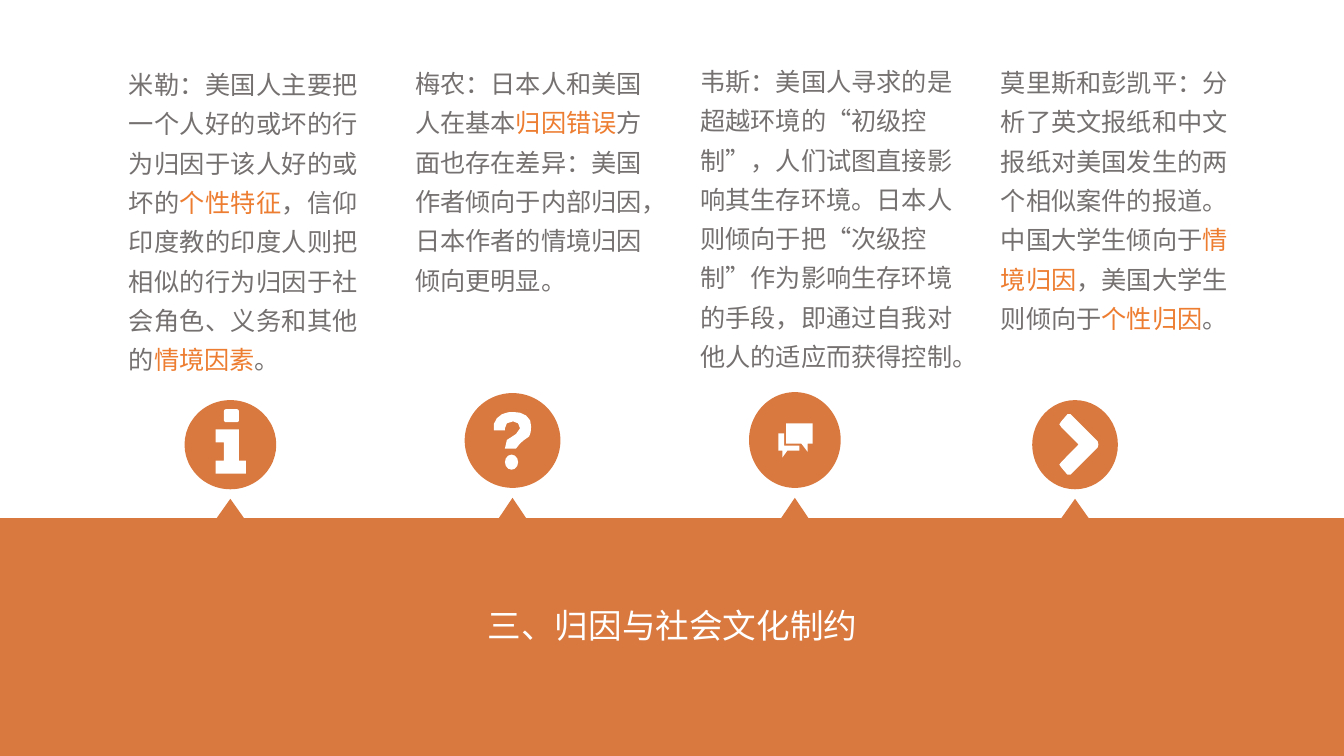
import pptx
import pptx.util
import pptx.dml.color
import pptx.enum.shapes
import pptx.enum.text
import pptx.oxml
import pptx.oxml.ns

Pt = pptx.util.Pt
KIND = pptx.enum.shapes.MSO_SHAPE
ALIGN = pptx.enum.text.PP_ALIGN

WIDE, HIGH = 960, 540
BAND = 370
FONT = "Noto Sans CJK SC"
HUES = {"band": "D9793F", "white": "FFFFFF", "grey": "767171", "key": "ED7D31"}

TEXTS = [
    ((85, 39.6, 177.8, 234), 18, ALIGN.JUSTIFY, [
        ("米勒：美国人主要把一个人好的或坏的行为归因于该人好的或坏的", "grey"),
        ("个性特征", "key"),
        ("，信仰印度教的印度人则把相似的行为归因于社会角色、义务和其他的", "grey"),
        ("情境因素", "key"),
        ("。", "grey")]),
    ((289.4, 38.9, 184.3, 177), 18, None, [
        ("梅农：日本人和美国人在基本", "grey"),
        ("归因错误", "key"),
        ("方面也存在差异：美国作者倾向于内部归因，日本作者的情境归因倾向更明显。", "grey")]),
    ((493.2, 37.4, 196.6, 234), 18, None, [
        ("韦斯：美国人寻求的是超越环境的“初级控制”，人们试图直接影响其生存环境。"
         "日本人则倾向于把“次级控制”作为影响生存环境的手段，"
         "即通过自我对他人的适应而获得控制。", "grey")]),
    ((707.8, 38.2, 183.6, 205), 18, None, [
        ("莫里斯和彭凯平：分析了英文报纸和中文报纸对美国发生的两个相似案件的报道。"
         "中国大学生倾向于", "grey"),
        ("情境归因", "key"),
        ("，美国大学生则倾向于", "grey"),
        ("个性归因", "key"),
        ("。", "grey")]),
    ((135.4, 419.8, 689.8, 44.6), 24, ALIGN.CENTER, [
        ("三、归因与社会文化制约", "white")]),
]

STEM = [(22.3, 20.9), (38.9, 20.9), (38.9, 43.2), (43.9, 43.2), (43.9, 52.6),
        (22.3, 52.6), (22.3, 43.2), (28.1, 43.2), (28.1, 30.2), (22.3, 30.2)]
HOOK = [(20.9, 26.6), (20.9, 22), (23, 18), (26.6, 15.1), (31, 13.7), (34.6, 13.5),
        (39.6, 14), (43.9, 16), (46.8, 19.4), (47.5, 23.8), (47.2, 28), (46.1, 31),
        (42.5, 33.5), (39.6, 36), (36.7, 39.6), (28.8, 39.6), (30.2, 33.5),
        (36.7, 29.2), (39.6, 25.2), (38.2, 21.6), (34.6, 20.2), (30.2, 21.6),
        (28.8, 25.2), (28.8, 26.6)]
BACK = [(20.9, 29.5), (25.2, 29.5), (25.2, 38.2), (36, 38.2), (36, 41.8),
        (27.4, 41.8), (23.8, 46.8), (23.8, 41.8), (20.9, 41.8)]
FRONT = [(26.6, 22.3), (45.4, 22.3), (45.4, 36.7), (41.8, 36.7), (41.8, 42.5),
         (37.4, 36.7), (26.6, 36.7)]
ARROW = [(25.2, 10.1), (27.4, 10.1), (46.8, 29.5), (47.3, 31.7), (46.8, 33.8),
         (27.4, 53.3), (25.2, 53.3), (20.9, 48.2), (19.4, 46.1), (20.9, 44.2),
         (33.1, 31.7), (20.9, 19.4), (19.4, 17.3), (20.9, 15.1)]

ICONS = [
    ((131.8, 285.8, 65.5, 63.7), 13.7, [STEM],
     [(KIND.ROUNDED_RECTANGLE, 28.1, 6.5, 10.8, 9.3)]),
    ((331.9, 280.8, 68.4, 67.7), 14.4, [HOOK],
     [(KIND.OVAL, 28.8, 43.9, 9.4, 10.8)]),
    ((535, 280.1, 65.5, 68.4), 14.4, [BACK, FRONT], []),
    ((737.3, 285.8, 61.2, 63.7), 13.7, [ARROW], []),
]
TIP = 19.4


def tint(font, hue):
    font.color.rgb = pptx.dml.color.RGBColor.from_string(HUES[hue])


def paint(shape, hue):
    shape.shadow.inherit = False
    shape.fill.solid()
    shape.fill.fore_color.rgb = pptx.dml.color.RGBColor.from_string(HUES[hue])
    shape.line.fill.background()
    return shape


def put(shapes, kind, box, hue):
    return paint(shapes.add_shape(kind, *map(Pt, box)), hue)


def trace(shapes, left, top, dots, hue):
    spots = [(Pt(left + x), Pt(top + y)) for x, y in dots]
    pen = shapes.build_freeform(*spots[0])
    pen.add_line_segments(spots[1:], close=True)
    paint(pen.convert_to_shape(), hue)


def icon(shapes, box, rise, marks, dots):
    left, top, wide, high = box
    group = shapes.add_group_shape().shapes
    mid = left + wide / 2
    put(group, KIND.ISOSCELES_TRIANGLE, (mid - TIP / 2, BAND - rise, TIP, rise), "band")
    put(group, KIND.OVAL, box, "band")
    for mark in marks:
        trace(group, left, top, mark, "white")
    for kind, x, y, w, h in dots:
        put(group, kind, (left + x, top + y, w, h), "white")


def write(shapes, box, size, align, runs):
    frame = shapes.add_textbox(*map(Pt, box)).text_frame
    frame.word_wrap = True
    frame.auto_size = pptx.enum.text.MSO_AUTO_SIZE.SHAPE_TO_FIT_TEXT
    para = frame.paragraphs[0]
    para.alignment = align
    para.line_spacing = 1.3
    para.font.size = Pt(size)
    para.font.name = FONT
    latin = para._p.pPr.find(".//" + pptx.oxml.ns.qn("a:latin"))
    east = pptx.oxml.parse_xml(
        f'<a:ea {pptx.oxml.ns.nsdecls("a")} typeface="{FONT}"/>')
    latin.addnext(east)
    for text, hue in runs:
        run = para.add_run()
        run.text = text
        tint(run.font, hue)


def main():
    deck = pptx.Presentation()
    deck.slide_width, deck.slide_height = Pt(WIDE), Pt(HIGH)
    shapes = deck.slides.add_slide(deck.slide_layouts[6]).shapes
    put(shapes, KIND.RECTANGLE, (0, BAND, WIDE, HIGH - BAND), "band")
    for item in ICONS:
        icon(shapes, *item)
    for item in TEXTS:
        write(shapes, *item)
    deck.save("out.pptx")


if __name__ == "__main__":
    main()
